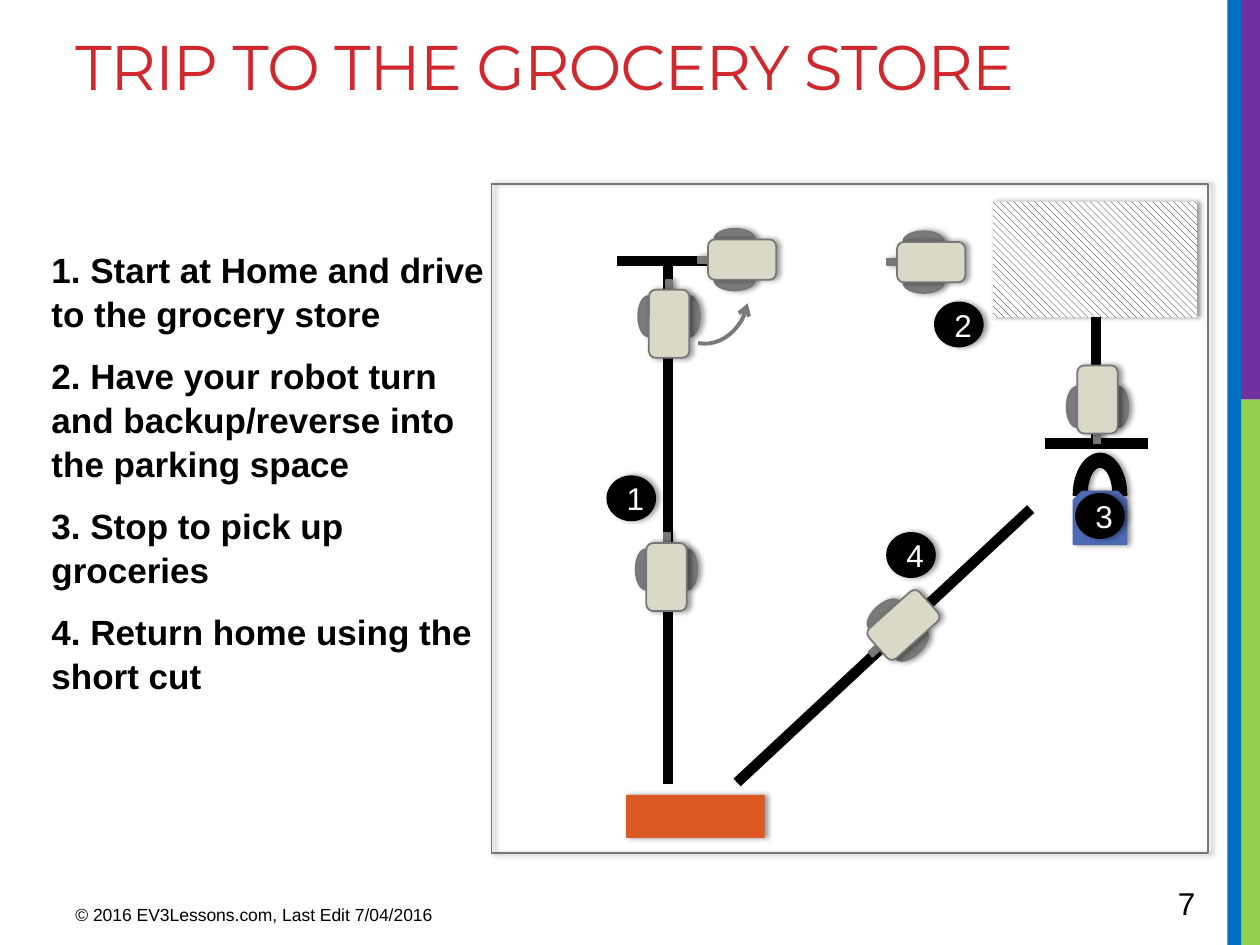
from math import cos, radians, sin

from lxml.etree import SubElement
from pptx import Presentation
from pptx.dml.color import RGBColor
from pptx.enum.dml import MSO_PATTERN
from pptx.enum.shapes import MSO_CONNECTOR, MSO_SHAPE
from pptx.enum.text import MSO_ANCHOR, PP_ALIGN
from pptx.oxml.ns import qn
from pptx.util import Inches, Pt

COLORS = {
    "black": "000000", "white": "FFFFFF", "title": "D1282E",
    "blue": "0070C0", "green": "92D050", "purple": "7030A0",
    "outline": "777777", "wheel": "7A7A7A", "body": "DAD9C8",
    "home": "DC5924", "bag": "4D6BB5", "bag line": "4E6AAE",
}
STEPS = [
    "1. Start at Home and drive to the grocery store",
    "2. Have your robot turn and backup/reverse into the parking space",
    "3. Stop to pick up groceries",
    "4. Return home using the short cut",
]
ROADS = [
    (1.4, 4.76, 1.4, 0.61),
    (4.8, 2.06, 4.8, 1.06),
    (1.95, 4.75, 4.28, 2.58),
    (5.21, 2.06, 4.39, 2.06),
    (1.81, 0.61, 1, 0.61),
]
ROBOTS = [
    (1.39, 3.12, 0),
    (3.49, 0.62, 270),
    (4.81, 1.71, 180),
    (3.27, 3.5, 228.2),
    (1.99, 0.6, 270),
    (1.41, 1.11, 0),
]
ROBOT_PARTS = [
    (MSO_SHAPE.OVAL, -0.165, -0.06, 0.16, 0.32, "wheel"),
    (MSO_SHAPE.OVAL, 0.165, -0.06, 0.16, 0.32, "wheel"),
    (MSO_SHAPE.RECTANGLE, 0, -0.28, 0.05, 0.14, "wheel"),
    (MSO_SHAPE.ROUNDED_RECTANGLE, 0, 0, 0.32, 0.54, "body"),
]
BADGES = {"1": (0.92, 2.32), "2": (3.52, 0.94), "3": (4.64, 2.46), "4": (3.14, 2.77)}


def color(name):
    return RGBColor.from_string(COLORS[name])


def add_shadow(shape):
    effects = shape._element.spPr.find(qn("a:effectLst"))
    shadow = SubElement(effects, qn("a:outerShdw"), blurRad=str(Pt(3.1)),
                        dist=str(Pt(1.8)), dir="0", rotWithShape="0")
    black = SubElement(shadow, qn("a:srgbClr"), val=COLORS["black"])
    SubElement(black, qn("a:alpha"), val="40000")


def add_block(slide, kind, left, top, width, height, fill=None, line=None, shadow=True):
    shape = slide.shapes.add_shape(
        kind, Inches(left), Inches(top), Inches(width), Inches(height))
    shape.shadow.inherit = False
    if fill:
        shape.fill.solid()
        shape.fill.fore_color.rgb = color(fill)
    else:
        shape.fill.background()
    if line:
        shape.line.color.rgb = color(line)
        shape.line.width = Pt(1)
    else:
        shape.line.fill.background()
    if shadow:
        add_shadow(shape)
    return shape


def style_text(paragraph, size, color_name, font="Arial", bold=False):
    paragraph.font.size = Pt(size)
    paragraph.font.name = font
    paragraph.font.bold = bold
    paragraph.font.color.rgb = color(color_name)


def add_text(slide, left, top, width, height, text, size,
             color_name="black", font="Arial", anchor=MSO_ANCHOR.MIDDLE):
    frame = slide.shapes.add_textbox(
        Inches(left), Inches(top), Inches(width), Inches(height)).text_frame
    frame.word_wrap = True
    frame.vertical_anchor = anchor
    paragraph = frame.paragraphs[0]
    paragraph.text = text
    style_text(paragraph, size, color_name, font)
    return paragraph


def add_side_stripes(slide, left, top, width, height):
    split = 3.17
    for x, y, stripe_width, stripe_height, fill in [
        (left + 0.1, top + split, width - 0.1, height - split, "green"),
        (left + 0.1, top, width - 0.1, split, "purple"),
        (left, top, 0.11, height, "blue"),
    ]:
        add_block(slide, MSO_SHAPE.RECTANGLE, x, y, stripe_width, stripe_height,
                  fill, shadow=False)


def add_title(slide, left, top, width, height):
    paragraph = add_text(slide, left, top, width, height, "TRIP TO THE GROCERY STORE",
                         36, "title", "Montserrat", MSO_ANCHOR.TOP)
    paragraph.runs[0]._r.get_or_add_rPr().set("spc", "-60")


def add_steps(slide, left, top, width, height):
    frame = slide.shapes.add_textbox(
        Inches(left), Inches(top), Inches(width), Inches(height)).text_frame
    frame.word_wrap = True
    for index, step in enumerate(STEPS):
        paragraph = frame.add_paragraph() if index else frame.paragraphs[0]
        paragraph.text = step
        paragraph.line_spacing = 1.05
        paragraph.space_before = Pt(4 if index else 0)
        paragraph.space_after = Pt(6)
        style_text(paragraph, 20, "black", bold=True)


def add_road(slide, start_x, start_y, end_x, end_y):
    road = slide.shapes.add_connector(
        MSO_CONNECTOR.STRAIGHT, Inches(start_x), Inches(start_y),
        Inches(end_x), Inches(end_y))
    road.line.color.rgb = color("black")
    road.line.width = Pt(6)
    SubElement(road._element.spPr, qn("a:effectLst"))


def add_robot(slide, center_x, center_y, angle):
    cosine, sine = cos(radians(angle)), sin(radians(angle))
    for kind, x, y, width, height, fill in ROBOT_PARTS:
        part_x = center_x + x * cosine - y * sine
        part_y = center_y + x * sine + y * cosine
        part = add_block(slide, kind, part_x - width / 2, part_y - height / 2,
                         width, height, fill, "outline")
        part.rotation = angle


def add_badge(slide, left, top, number):
    badge = add_block(slide, MSO_SHAPE.OVAL, left, top, 0.38, 0.35, "black", "black")
    badge.text_frame.vertical_anchor = MSO_ANCHOR.MIDDLE
    paragraph = badge.text_frame.paragraphs[0]
    paragraph.text = number
    paragraph.alignment = PP_ALIGN.CENTER
    style_text(paragraph, 18, "white")


def add_turn_arrow(slide, left, top):
    arrow = add_block(slide, MSO_SHAPE.ARC, left, top, 0.77, 0.65,
                      line="wheel", shadow=False)
    arrow.rotation = 101.1
    arrow.line.width = Pt(2.25)
    SubElement(arrow.line._get_or_add_ln(), qn("a:headEnd"), type="arrow")


def add_map(slide, left, top, width, height):
    add_block(slide, MSO_SHAPE.RECTANGLE, left, top, width, height, line="outline")
    parking = add_block(slide, MSO_SHAPE.RECTANGLE, left + 3.98, top + 0.14, 1.62, 0.92)
    parking.fill.patterned()
    parking.fill.pattern = MSO_PATTERN.WIDE_DOWNWARD_DIAGONAL
    parking.fill.fore_color.rgb = color("black")
    parking.fill.back_color.rgb = color("white")
    add_block(slide, MSO_SHAPE.RECTANGLE, left + 1.07, top + 4.85, 1.1, 0.34, "home")
    add_block(slide, MSO_SHAPE.BLOCK_ARC, left + 4.62, top + 2.14, 0.42, 0.66,
              "black", "black")
    add_block(slide, MSO_SHAPE.SNIP_2_SAME_RECTANGLE, left + 4.62, top + 2.44,
              0.42, 0.42, "bag", "bag line")
    for start_x, start_y, end_x, end_y in ROADS:
        add_road(slide, left + start_x, top + start_y, left + end_x, top + end_y)
    for x, y, angle in ROBOTS:
        add_robot(slide, left + x, top + y, angle)
    for number, (x, y) in BADGES.items():
        add_badge(slide, left + x, top + y, number)
    add_turn_arrow(slide, left + 1.33, top + 0.56)


def main():
    presentation = Presentation()
    presentation.slide_width = Inches(10)
    presentation.slide_height = Inches(7.5)
    slide = presentation.slides.add_slide(presentation.slide_layouts[6])
    add_side_stripes(slide, 9.74, 0, 0.26, 7.5)
    add_title(slide, 0.5, 0.17, 9.02, 1.5)
    add_steps(slide, 0.31, 1.91, 3.78, 4.37)
    add_text(slide, 0.5, 7.1, 3.75, 0.31, "© 2016 EV3Lessons.com, Last Edit 7/04/2016", 10)
    add_text(slide, 9.25, 6.97, 0.69, 0.4, "7", 18)
    add_map(slide, 3.9, 1.46, 5.69, 5.31)
    presentation.save("out.pptx")


if __name__ == "__main__":
    main()
